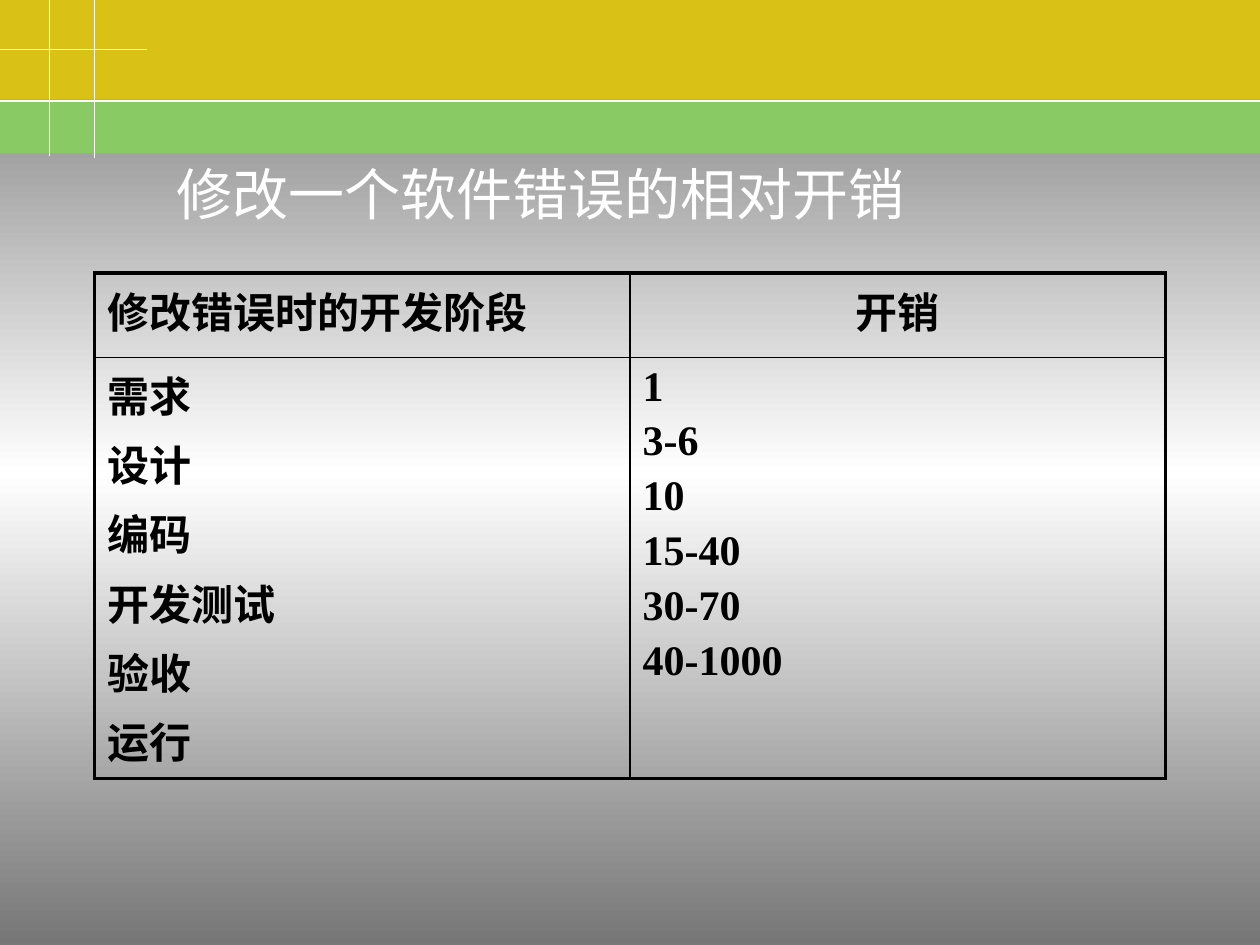
from copy import deepcopy
from lxml import etree
from pptx import Presentation
from pptx.dml.color import RGBColor
from pptx.enum.shapes import MSO_CONNECTOR, MSO_SHAPE
from pptx.enum.text import MSO_ANCHOR, PP_ALIGN
from pptx.oxml.ns import qn
from pptx.util import Inches, Pt

GOLD = RGBColor(0xD9, 0xC2, 0x15)
GREEN = RGBColor(0x89, 0xCA, 0x64)
WHITE = RGBColor(0xFF, 0xFF, 0xFF)
BLACK = RGBColor(0, 0, 0)
GREY = RGBColor(0x76, 0x76, 0x76)
RECT = MSO_SHAPE.RECTANGLE
LINE = MSO_CONNECTOR.STRAIGHT
MIDDLE = MSO_ANCHOR.MIDDLE
LEFT = PP_ALIGN.LEFT
CENTER = PP_ALIGN.CENTER

WIDE, HIGH = Inches(10), Inches(7.5)
THICK, THIN = 2.25, 1
TITLE = "修改一个软件错误的相对开销"
CELLS = [
    [["修改错误时的开发阶段"], ["开销"]],
    [["需求", "设计", "编码", "开发测试", "验收", "运行"],
     ["1", "3-6", "10", "15-40", "30-70", "40-1000"]],
]


def add_run(para, text, font, size, color, bold=False):
    run = para.add_run()
    run.text = text
    run.font.name = font
    run.font.size = Pt(size)
    run.font.bold = bold
    run.font.color.rgb = color


def draw_back(slide):
    fill = slide.background.fill
    fill.gradient()
    fill.gradient_angle = 90
    stops = slide.element.find(".//" + qn("a:gsLst"))
    stops.append(deepcopy(stops[0]))
    for stop, place, color in zip(fill.gradient_stops, (0, 0.5, 1), (GREY, WHITE, GREY)):
        stop.position = place
        stop.color.rgb = color


def draw_band(slide, x, y, w, h):
    split = 0.65
    for top, part, color in ((split, 1 - split, GREEN), (0, split, GOLD)):
        band = slide.shapes.add_shape(RECT, x, int(y + top * h), w, int(part * h))
        band.shadow.inherit = False
        band.fill.solid()
        band.fill.fore_color.rgb = color
        band.line.fill.background()
    rules = [(7.5, 0, 7.5, 103), (0, 32.3, 11.7, 32.3),
             (0, 66, 100, 66), (3.93, -2, 3.93, 102)]
    for x1, y1, x2, y2 in rules:
        rule = slide.shapes.add_connector(
            LINE, int(x + x1 * w / 100), int(y + y1 * h / 100),
            int(x + x2 * w / 100), int(y + y2 * h / 100))
        rule.line.color.rgb = WHITE
        rule.line.width = Pt(1)
        etree.SubElement(rule.element.spPr, qn("a:effectLst"))


def draw_title(slide, x, y, w, h):
    frame = slide.shapes.add_textbox(x, y, w, h).text_frame
    frame.word_wrap = True
    frame.vertical_anchor = MIDDLE
    add_run(frame.paragraphs[0], TITLE, "Arial", 32, WHITE)


def set_edges(cell, sides):
    props = cell._tc.get_or_add_tcPr()
    for side, size in sides.items():
        edge = etree.SubElement(props, qn("a:ln" + side), w=str(Pt(size)))
        fill = etree.SubElement(edge, qn("a:solidFill"))
        etree.SubElement(fill, qn("a:srgbClr"), val=str(BLACK))


def fill_cell(cell, lines, align):
    frame = cell.text_frame
    for i, text in enumerate(lines):
        para = frame.add_paragraph() if i else frame.paragraphs[0]
        para.alignment = align
        if i:
            gap = etree.SubElement(para._p.get_or_add_pPr(), qn("a:spcBef"))
            etree.SubElement(gap, qn("a:spcPct"), val="20000")
        add_run(para, text, "Times New Roman", 24, BLACK, True)


def draw_table(slide, x, y, w, h):
    rows, cols = len(CELLS), len(CELLS[0])
    table = slide.shapes.add_table(rows, cols, x, y, w, h).table
    table.first_row = False
    table.horz_banding = False
    for row, part in zip(table.rows, (1, 5)):
        row.height = int(h * part / 6)
    for r, line in enumerate(CELLS):
        for c, lines in enumerate(line):
            cell = table.cell(r, c)
            set_edges(cell, {
                "L": THIN if c else THICK,
                "R": THICK if c == cols - 1 else THIN,
                "T": THIN if r else THICK,
                "B": THICK if r == rows - 1 else THIN,
            })
            cell.fill.background()
            fill_cell(cell, lines, CENTER if c and not r else LEFT)


def share(x, y, w, h):
    return (int(x * WIDE / 100), int(y * HIGH / 100),
            int(w * WIDE / 100), int(h * HIGH / 100))


def main():
    deck = Presentation()
    deck.slide_width, deck.slide_height = WIDE, HIGH
    slide = deck.slides.add_slide(deck.slide_layouts[6])
    draw_back(slide)
    draw_band(slide, *share(0, 0, 100, 16.2))
    draw_title(slide, *share(13, 12.1, 85, 16.7))
    draw_table(slide, *share(7.5, 28.9, 85, 53.5))
    deck.save("out.pptx")


if __name__ == "__main__":
    main()
